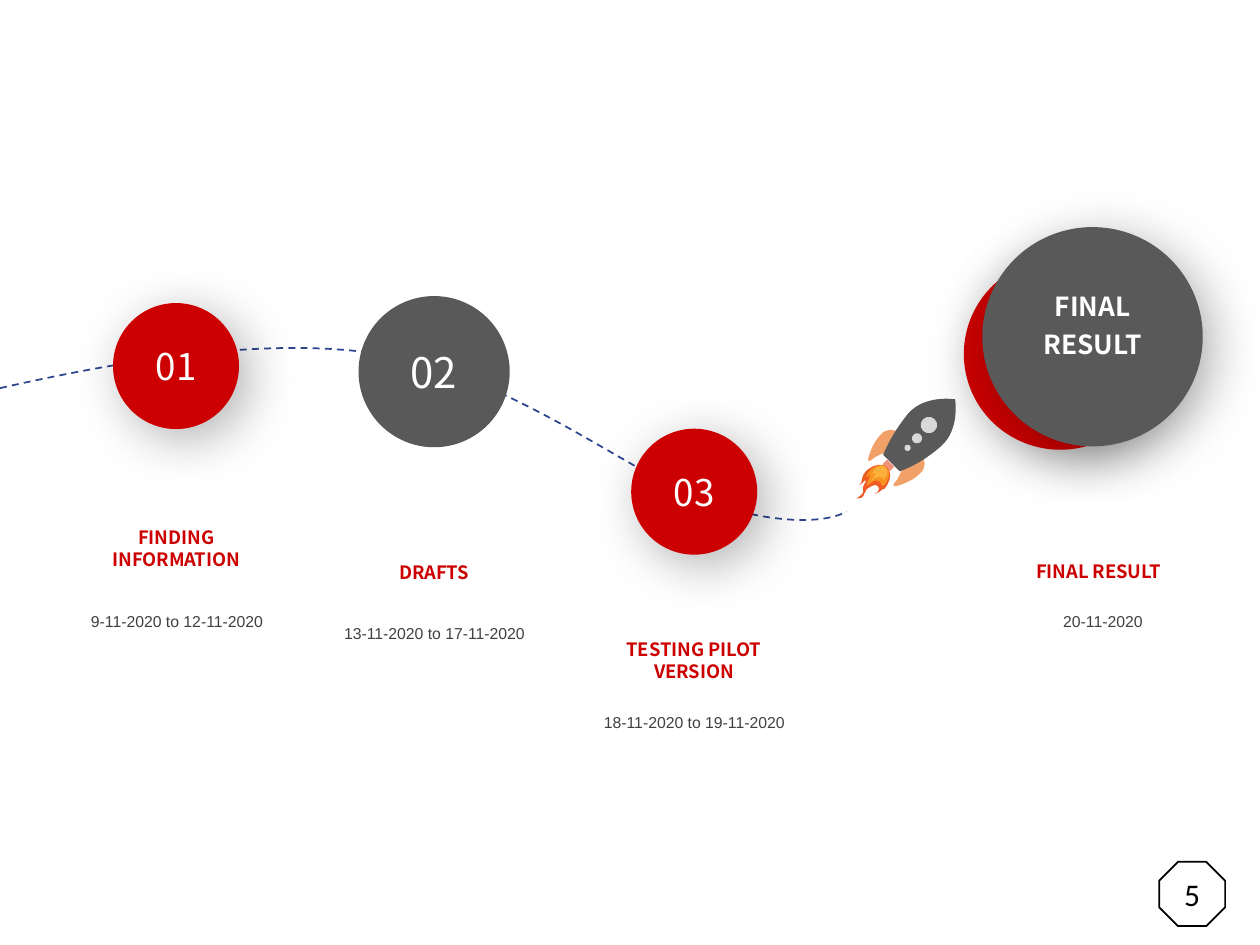
from math import cos, radians, sin

from pptx import Presentation
from pptx.dml.color import RGBColor
from pptx.enum.dml import MSO_LINE
from pptx.enum.shapes import MSO_SHAPE
from pptx.enum.text import MSO_ANCHOR, PP_ALIGN
from pptx.oxml import parse_xml
from pptx.oxml.ns import nsdecls, qn
from pptx.util import Pt

THEME = {
    "red": "CC0000", "grey": "595959", "white": "FFFFFF", "black": "000000",
    "trail": "2D448F", "date": "404040", "fin": "ED7D31", "nozzle": "EB6949",
    "flames": ("F15A24", "F7931E", "FBB03B"),
    "head_font": "Noto Sans CJK SC", "date_font": "Arial", "page_font": "Calibri",
    "number": 21, "big_number": 24, "result": 15, "caption": 10.5, "date_size": 9, "page": 18,
}

# Captions: text, left, top, height; dates: text, left, top
CAPTIONS = [
    ("FINDING INFORMATION", 35.6, 297, 32.4),
    ("DRAFTS", 182.9, 317.1, 20.2),
    ("TESTING PILOT VERSION", 331.4, 361, 32.4),
    ("FINAL RESULT", 562.6, 316.8, 20.2),
]
DATES = [
    ("9-11-2020 to 12-11-2020", 33.4, 345.9),
    ("13-11-2020 to 17-11-2020", 180.5, 352.8),
    ("18-11-2020 to 19-11-2020", 329, 403.5),
    ("20-11-2020", 562.5, 345.9),
]
SMALL_STEPS = [("03", 360.7, 245), ("01", 64.6, 173.2)]

# Outlines: a start point, then cubic segments (control, control, end)
TRAIL = ((0, 221.8), [
    (70.6, 205.9, 151.9, 192.2, 216.7, 202.3),
    (281.5, 211.7, 350.6, 262.1, 387.4, 279.4),
    (424.1, 297.4, 467.3, 301.7, 483.8, 292.3),
])
FLAMES = [
    ((504.7, 279.4), [
        (503.3, 280.2, 501.5, 282.2, 499.7, 282.2), (501.1, 282.2, 503.3, 279.4, 501.8, 277.9),
        (500.4, 275.8, 496.8, 278.6, 495.4, 279.4), (494.6, 280.8, 493.9, 282.2, 493.2, 283.7),
        (491.8, 285.1, 489.6, 285.1, 488.9, 284.4), (489.6, 285.1, 491, 284.4, 491, 283.7),
        (491.8, 283.7, 492.5, 282.2, 493.2, 281.5), (493.2, 280.8, 493.2, 279.4, 493.2, 278.6),
        (493.2, 277.2, 493.9, 276.5, 494.6, 275.8), (494.6, 275, 494.6, 275, 494.6, 274.3),
        (493.2, 275.8, 491, 277.2, 491, 277.2), (492.5, 275.8, 492.5, 274.3, 492.5, 274.3),
        (493.2, 269.3, 496.8, 267.8, 496.8, 267.8), (500.4, 265, 504.7, 265, 506.9, 267.1),
        (509.8, 270, 509, 275, 505.4, 279.4),
    ]),
    ((506.9, 267.1), [
        (505.4, 265, 501.1, 265.7, 498.2, 267.8), (498.2, 267.8, 496.1, 269.3, 494.6, 272.9),
        (494.6, 272.9, 496.8, 271.4, 497.5, 271.4), (496.8, 271.4, 496.8, 272.9, 496.8, 272.9),
        (496.1, 274.3, 495.4, 275.8, 495.4, 277.9), (499.7, 273.6, 501.8, 274.3, 503.3, 275.8),
        (504, 276.5, 504, 277.2, 504, 277.9), (504.7, 277.9, 504.7, 277.2, 505.4, 277.2),
        (508.3, 273.6, 509, 269.3, 506.9, 267.1),
    ]),
    ((504, 272.9), [
        (504.7, 272.9, 504.7, 273.6, 504.7, 274.3), (504.7, 274.3, 505.4, 274.3, 505.4, 273.6),
        (507.6, 271.4, 507.6, 268.6, 506.2, 267.1), (505.4, 265.7, 502.6, 266.4, 501.1, 267.1),
        (500.4, 267.8, 499, 268.6, 498.2, 270.7), (499, 270.7, 500.4, 270, 500.4, 270),
        (499.7, 272.2, 498.2, 274.3, 497.5, 275), (497.5, 275, 503.3, 270.7, 504, 272.9),
    ]),
]
FIN = ((514.1, 247.7), [
    (511.2, 244.8, 506.2, 244.8, 503.3, 248.4), (499.7, 252, 497.5, 257, 496.1, 262.1),
    (496.1, 262.8, 496.1, 263.5, 496.8, 263.5), (497.5, 263.5, 499, 262.1, 499.7, 261.4),
    (501.8, 260.6, 503.3, 259.2, 504.7, 259.2), (506.2, 259.2, 507.6, 259.9, 509, 260.6),
    (511.2, 260.6, 512.6, 259.9, 514.1, 258.5), (517, 255.6, 517, 250.6, 514.1, 247.7),
])
BODY = ((504.7, 259.9), [
    (509.8, 247, 519.1, 236.2, 519.1, 236.2), (528.5, 225.4, 545.8, 228.2, 545.8, 228.2),
    (545.8, 228.2, 548.6, 245.5, 537.8, 254.9), (537.8, 254.9, 527, 265, 514.1, 269.3),
])
FIN_MIRROR = 774  # x + y of the diagonal that swaps one fin for the other
TILT = 45
WINDOWS = [(526.1, 238.2, 9.4), (521.1, 247.6, 5.8), (516.8, 254.1, 3.6)]


def nodes(outline):
    """List start, control and end points in order."""
    start, segments = outline
    return [start] + [s[i:i + 2] for s in segments for i in (0, 2, 4)]


def turn(point, angle):
    (x, y), c, s = point, cos(radians(angle)), sin(radians(angle))
    return x * c - y * s, x * s + y * c


def bounds(pts, steps=20):
    """Corners of the box that the curve itself fills."""
    curve = [pts[0]]
    for i in range(0, len(pts) - 1, 3):
        for t in (n / steps for n in range(1, steps + 1)):
            u = 1 - t
            weights = (u ** 3, 3 * u * u * t, 3 * u * t * t, t ** 3)
            curve.append([sum(w * p[k] for w, p in zip(weights, pts[i:i + 4])) for k in (0, 1)])
    return [(f(x for x, _ in curve), f(y for _, y in curve)) for f in (min, max)]


def paint(sp, fill=None, line=None, alpha=None, shadow=False):
    sp.shadow.inherit = False
    if fill:
        sp.fill.solid()
        sp.fill.fore_color.rgb = RGBColor.from_string(fill)
    else:
        sp.fill.background()
    if line:
        sp.line.color.rgb = RGBColor.from_string(line)
        sp.line.width = Pt(1)
    else:
        sp.line.fill.background()
    if alpha:
        clr = sp._element.spPr.find(qn("a:solidFill"))[0]
        clr.append(parse_xml(f'<a:alpha {nsdecls("a")} val="{alpha * 1000}"/>'))
    if shadow:
        sp._element.spPr.find(qn("a:effectLst")).append(parse_xml(
            f'<a:outerShdw {nsdecls("a")} blurRad="{Pt(30)}" dist="{Pt(8)}" dir="2700000" '
            'algn="tl" rotWithShape="0"><a:srgbClr val="000000"><a:alpha val="30000"/>'
            '</a:srgbClr></a:outerShdw>'))
    return sp


def add_shape(shapes, kind, box, rotation=0, **look):
    sp = shapes.add_shape(kind, *map(Pt, box))
    sp.rotation = rotation
    return paint(sp, **look)


def add_curve(shapes, pts, rotation=0, close=True, **look):
    """Lay the curve out upright in its box, then rotate the shape into place."""
    pts = [turn(p, -rotation) for p in pts]
    (x0, y0), (x1, y1) = bounds(pts)
    mid = (x0 + x1) / 2, (y0 + y1) / 2
    cx, cy = turn(mid, rotation)
    left, top = x0 + cx - mid[0], y0 + cy - mid[1]
    fb = shapes.build_freeform(Pt(left), Pt(top))
    fb.add_line_segments([(Pt(left + x1 - x0), Pt(top + y1 - y0))], close=close)
    sp = fb.convert_to_shape()
    sp.rotation = rotation
    outline = next(sp._element.iter(qn("a:path")))
    marks = [f'<a:pt x="{Pt(x - x0)}" y="{Pt(y - y0)}"/>' for x, y in pts]
    parts = [("moveTo", marks[:1])]
    parts += [("cubicBezTo", marks[i:i + 3]) for i in range(1, len(marks), 3)]
    for old in outline[:2]:
        outline.remove(old)
    for i, (tag, pt) in enumerate(parts):
        outline.insert(i, parse_xml(f'<a:{tag} {nsdecls("a")}>{"".join(pt)}</a:{tag}>'))
    return paint(sp, **look)


def write(sp, text, size, color, font, bold=False, spacing=None, anchor=MSO_ANCHOR.MIDDLE,
          side=7.2, edge=3.6):
    tf = sp.text_frame
    tf.word_wrap = True
    tf.vertical_anchor = anchor
    tf.margin_left = tf.margin_right = Pt(side)
    tf.margin_top = tf.margin_bottom = Pt(edge)
    p = tf.paragraphs[0]
    p.text, p.alignment, p.line_spacing = text, PP_ALIGN.CENTER, spacing
    p.font.size, p.font.name, p.font.bold = Pt(size), font, bold
    p.font.color.rgb = RGBColor.from_string(color)


def add_text(shapes, box, *args, **kwargs):
    write(shapes.add_textbox(*map(Pt, box)), *args, anchor=MSO_ANCHOR.TOP, **kwargs)


t = THEME
prs = Presentation()
prs.slide_width, prs.slide_height = Pt(720), Pt(540)
shapes = prs.slides.add_slide(prs.slide_layouts[6]).shapes
oval, box = MSO_SHAPE.OVAL, MSO_SHAPE.RECTANGLE

# Red disc behind the final result, then the dashed trail
add_shape(shapes, oval, (550.8, 147.6, 110.2, 109.4), fill=t["red"], shadow=True)
trail = add_curve(shapes, nodes(TRAIL), close=False, line=t["trail"])
trail.line.dash_style = MSO_LINE.DASH

# Rocket
rocket = shapes.add_group_shape().shapes
for flame, color in zip(FLAMES, t["flames"]):
    add_curve(rocket, nodes(flame), TILT, fill=color)
fin = nodes(FIN)
for pts in (fin, [(FIN_MIRROR - y, FIN_MIRROR - x) for x, y in fin]):
    add_curve(rocket, pts, TILT, fill=t["fin"], alpha=73)
add_curve(rocket, nodes(BODY), TILT, fill=t["grey"])
for x, y, d in WINDOWS:
    add_shape(rocket, oval, (x, y, d, d), TILT, fill=t["white"], alpha=77)
add_shape(rocket, box, (504.7, 264.2, 5.8, 3.6), TILT, fill=t["nozzle"], alpha=73)

# Numbered steps
for number, x, y in SMALL_STEPS:
    sp = add_shape(shapes, oval, (x, y, 72, 72), fill=t["red"], shadow=True)
    write(sp, number, t["number"], t["white"], t["head_font"], side=0)
step = shapes.add_group_shape().shapes
ring = add_shape(step, MSO_SHAPE.DONUT, (204.9, 169.2, 86.4, 86.4), fill=t["grey"])
ring.adjustments[0] = 0.05
sp = add_shape(step, oval, (206.6, 171, 82.8, 82.8), fill=t["grey"])
write(sp, "02", t["big_number"], t["white"], t["head_font"])

# Final result
add_shape(shapes, oval, (561.3, 129.8, 126, 125.3), fill=t["grey"], shadow=True)
add_text(shapes, (580.8, 160.2, 87.1, 46.1), "FINAL RESULT", t["result"], t["white"],
         t["head_font"], bold=True, spacing=1.2, side=4.3, edge=2.2)

# Captions, title band and dates
for text, x, y, h in CAPTIONS:
    add_text(shapes, (x, y, 130.3, h), text, t["caption"], t["red"], t["head_font"], bold=True)
add_shape(shapes, box, (0, 15.8, 720, 67.7), fill=t["white"], line=t["white"])
for text, x, y in DATES:
    add_text(shapes, (x, y, 135.4, 18), text, t["date_size"], t["date"], t["date_font"])

# Page number
sp = add_shape(shapes, MSO_SHAPE.OCTAGON, (662.4, 492.5, 37.7, 36.7),
               fill=t["white"], line=t["black"])
write(sp, "5", t["page"], t["black"], t["page_font"])

prs.save("out.pptx")
